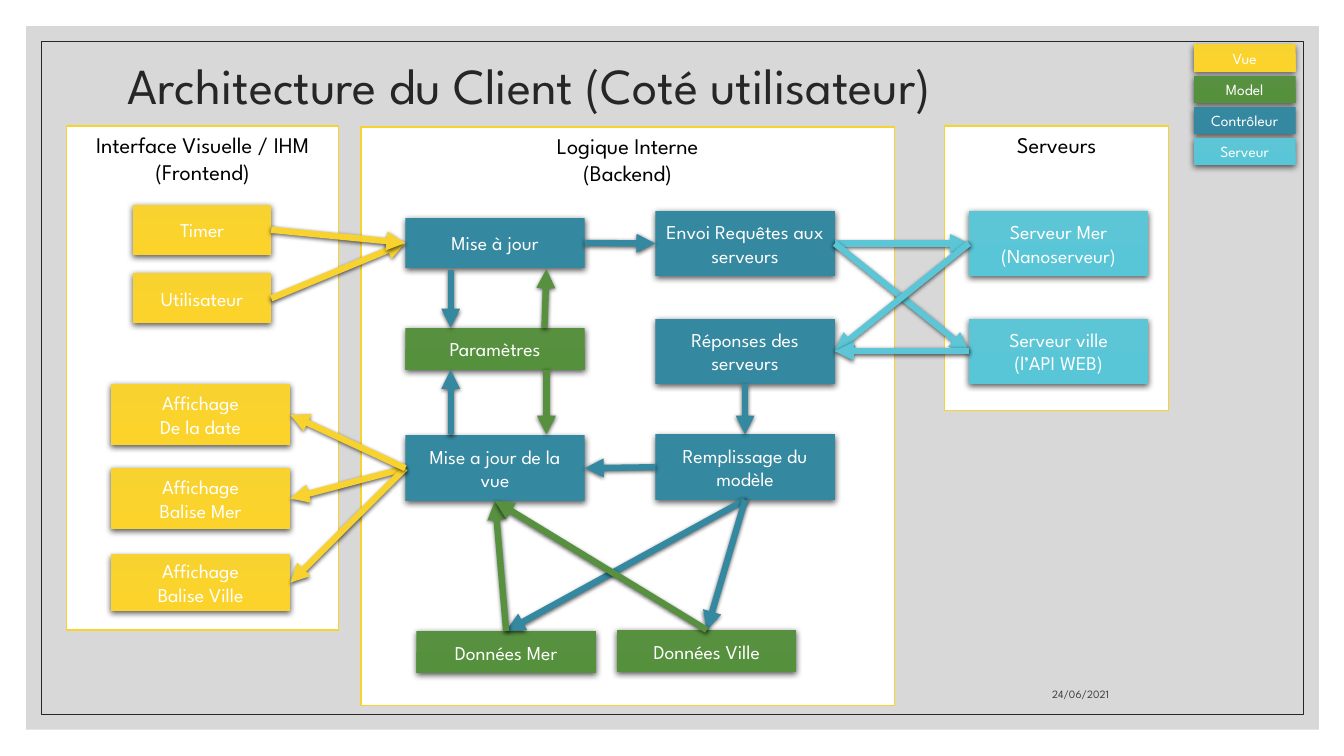
from dataclasses import dataclass
from enum import IntEnum

from lxml.etree import SubElement
from pptx import Presentation
from pptx.dml.color import RGBColor
from pptx.enum.shapes import MSO_CONNECTOR, MSO_SHAPE
from pptx.enum.text import MSO_ANCHOR, PP_ALIGN
from pptx.oxml.ns import qn
from pptx.util import Emu, Pt

PX = 9144  # 100 px to the inch
FONT = "League Spartan"
COLORS = {
    "frame": "BFBFBF", "ink": "262626", "date": "404040", "black": "000000",
    "white": "FFFFFF",
    "vue": "F8D22F", "model": "57903F", "controleur": "3488A0", "serveur": "5CC6D6",
    "vue_end": "FBD32A", "model_end": "55913C",
    "controleur_end": "3188A1", "serveur_end": "58C6D7",
}


class Side(IntEnum):
    TOP = 0
    LEFT = 1
    BOTTOM = 2
    RIGHT = 3


@dataclass(frozen=True)
class Box:
    text: str
    x: int
    y: int
    w: int
    h: int
    kind: str = ""
    size: int = 14


@dataclass(frozen=True)
class Link:
    start: str
    start_side: Side
    end: str
    end_side: Side
    kind: str


@dataclass(frozen=True)
class Arrow:
    x1: int
    y1: int
    x2: int
    y2: int
    kind: str


PANELS = [
    Box("Serveurs", 937, 125, 222, 282),
    Box("Logique Interne\n(Backend)", 358, 126, 529, 574),
    Box("Interface Visuelle / IHM\n(Frontend)", 66, 125, 270, 500),
]
BOXES = {
    "timer": Box("Timer", 132, 203, 137, 50, "vue"),
    "user": Box("Utilisateur", 132, 271, 137, 50, "vue"),
    "date": Box("Affichage\nDe la date", 110, 381, 178, 61, "vue"),
    "sea_view": Box("Affichage\nBalise Mer", 110, 464, 178, 61, "vue"),
    "city_view": Box("Affichage\nBalise Ville", 110, 550, 178, 56, "vue"),
    "update": Box("Mise à jour", 402, 216, 178, 50, "controleur"),
    "params": Box("Paramètres", 402, 325, 178, 42, "model"),
    "refresh": Box("Mise a jour de la vue", 402, 432, 178, 65, "controleur"),
    "request": Box("Envoi Requêtes aux serveurs", 650, 209, 178, 65, "controleur"),
    "response": Box("Réponses des serveurs", 650, 316, 178, 65, "controleur"),
    "fill": Box("Remplissage du modèle", 650, 431, 178, 65, "controleur"),
    "sea_data": Box("Données Mer", 413, 626, 178, 42, "model"),
    "city_data": Box("Données Ville", 612, 625, 178, 42, "model"),
    "sea_server": Box("Serveur Mer (Nanoserveur)", 961, 209, 178, 65, "serveur"),
    "city_server": Box("Serveur ville\n(l’API WEB)", 961, 316, 178, 65, "serveur"),
}
LEGEND = [("Vue", "vue"), ("Model", "model"),
          ("Contrôleur", "controleur"), ("Serveur", "serveur")]
LINKS = [
    Link("request", Side.RIGHT, "sea_server", Side.LEFT, "serveur"),
    Link("request", Side.RIGHT, "city_server", Side.LEFT, "serveur"),
    Link("sea_server", Side.LEFT, "response", Side.RIGHT, "serveur"),
    Link("city_server", Side.LEFT, "response", Side.RIGHT, "serveur"),
    Link("user", Side.RIGHT, "update", Side.LEFT, "vue"),
    Link("timer", Side.RIGHT, "update", Side.LEFT, "vue"),
    Link("update", Side.RIGHT, "request", Side.LEFT, "controleur"),
    Link("response", Side.BOTTOM, "fill", Side.TOP, "controleur"),
    Link("fill", Side.BOTTOM, "sea_data", Side.TOP, "controleur"),
    Link("fill", Side.BOTTOM, "city_data", Side.TOP, "controleur"),
    Link("fill", Side.LEFT, "refresh", Side.RIGHT, "controleur"),
    Link("refresh", Side.LEFT, "sea_view", Side.RIGHT, "vue"),
    Link("refresh", Side.LEFT, "city_view", Side.RIGHT, "vue"),
    Link("refresh", Side.LEFT, "date", Side.RIGHT, "vue"),
    Link("sea_data", Side.TOP, "refresh", Side.BOTTOM, "model"),
    Link("city_data", Side.TOP, "refresh", Side.BOTTOM, "model"),
]
PARAM_ARROWS = [
    Arrow(447, 268, 447, 325, "controleur"),
    Arrow(540, 325, 542, 267, "model"),
    Arrow(447, 431, 447, 367, "controleur"),
    Arrow(542, 367, 542, 431, "model"),
]


def rgb(name: str) -> RGBColor:
    return RGBColor.from_string(COLORS[name])


def px(*lengths: int) -> list[Emu]:
    return [Emu(n * PX) for n in lengths]


def write(shape, text: str, size: int, color: str, align=PP_ALIGN.CENTER,
          anchor=MSO_ANCHOR.MIDDLE) -> None:
    tf = shape.text_frame
    tf.word_wrap = True
    tf.vertical_anchor = anchor
    tf.text = text
    for p in tf.paragraphs:
        p.alignment = align
        p.font.name = FONT
        p.font.size = Pt(size)
        p.font.color.rgb = rgb(color)


def add_shadow(sp_pr, blur: float, distance: float) -> None:
    """Give a shape or connector a soft black shadow straight below it."""
    effects = SubElement(sp_pr, qn("a:effectLst"))
    outer = SubElement(effects, qn("a:outerShdw"), blurRad=str(Pt(blur)),
                       dist=str(Pt(distance)), dir="5400000", algn="ctr", rotWithShape="0")
    color = SubElement(outer, qn("a:srgbClr"), val=COLORS["black"])
    SubElement(color, qn("a:alpha"), val="63000")


def add_rect(shapes, x: int, y: int, w: int, h: int, fill: str = "",
             line: str = "", width: float = 1):
    """Add a flat rectangle; an empty colour name means none."""
    s = shapes.add_shape(MSO_SHAPE.RECTANGLE, *px(x, y, w, h))
    s.shadow.inherit = False
    if fill:
        s.fill.solid()
        s.fill.fore_color.rgb = rgb(fill)
    else:
        s.fill.background()
    if line:
        s.line.color.rgb = rgb(line)
        s.line.width = Pt(width)
    else:
        s.line.fill.background()
    return s


def add_box(shapes, box: Box):
    s = shapes.add_shape(MSO_SHAPE.RECTANGLE, *px(box.x, box.y, box.w, box.h))
    s.fill.gradient()
    s.fill.gradient_angle = 270
    for stop, name in zip(s.fill.gradient_stops, (box.kind, box.kind + "_end")):
        stop.color.rgb = rgb(name)
    s.line.fill.background()
    add_shadow(s.element.spPr, 4.5, 1.5)
    write(s, box.text, box.size, "white")
    return s


def add_arrow(shapes, arrow: Arrow):
    c = shapes.add_connector(MSO_CONNECTOR.STRAIGHT,
                             *px(arrow.x1, arrow.y1, arrow.x2, arrow.y2))
    c.line.color.rgb = rgb(arrow.kind)
    c.line.width = Pt(4.5)
    sp_pr = c.element.spPr
    SubElement(sp_pr.find(qn("a:ln")), qn("a:tailEnd"), type="triangle")
    add_shadow(sp_pr, 3, 1)
    return c


def main() -> None:
    prs = Presentation()
    prs.slide_width, prs.slide_height = px(1333, 750)
    shapes = prs.slides.add_slide(prs.slide_layouts[6]).shapes

    frame = add_rect(shapes, 26, 26, 1282, 698, "frame")
    frame_color = frame.element.spPr.find(qn("a:solidFill"))[0]
    SubElement(frame_color, qn("a:alpha"), val="60000")
    add_rect(shapes, 41, 41, 1252, 668, line="ink", width=0.5)

    for panel in PANELS:
        s = add_rect(shapes, panel.x, panel.y, panel.w, panel.h, "white", "vue")
        write(s, panel.text, 16, "black", anchor=MSO_ANCHOR.TOP)

    title = shapes.add_textbox(*px(117, 59, 1100, 57))
    write(title, "Architecture du Client (Coté utilisateur)", 36, "ink", PP_ALIGN.LEFT)
    title.text_frame.paragraphs[0].line_spacing = 0.9
    date = shapes.add_textbox(*px(794, 660, 316, 40))
    write(date, "24/06/2021", 8, "date", PP_ALIGN.RIGHT, MSO_ANCHOR.BOTTOM)

    drawn = {name: add_box(shapes, box) for name, box in BOXES.items()}
    for i, (text, kind) in enumerate(LEGEND):
        add_box(shapes, Box(text, 1184, 44 + 31 * i, 101, 27, kind, 11))
    for link in LINKS:
        c = add_arrow(shapes, Arrow(0, 0, 0, 0, link.kind))
        c.begin_connect(drawn[link.start], link.start_side)
        c.end_connect(drawn[link.end], link.end_side)
    for arrow in PARAM_ARROWS:
        add_arrow(shapes, arrow)
    prs.save("out.pptx")


if __name__ == "__main__":
    main()
